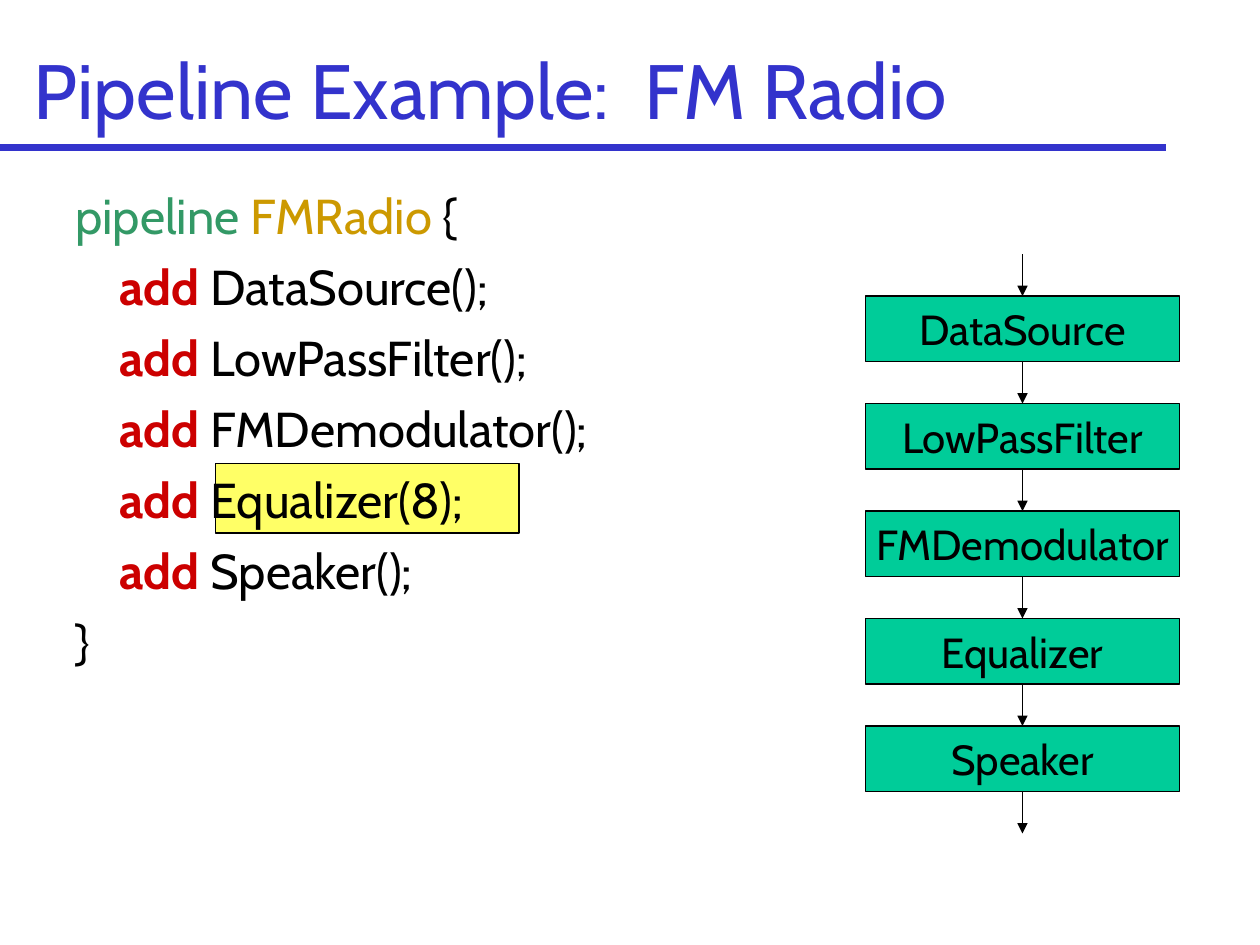
from pptx import Presentation
from pptx import util as u
from pptx.dml.color import RGBColor
from pptx.enum import shapes, text
from pptx.oxml.ns import qn
from lxml import etree

BLUE = RGBColor(0x33, 0x33, 0xCC)
BLACK = RGBColor(0, 0, 0)
GREEN = RGBColor(0x33, 0x99, 0x66)
GOLD = RGBColor(0xCC, 0x99, 0x00)
RED = RGBColor(0xCC, 0x00, 0x00)
YELLOW = RGBColor(0xFF, 0xFF, 0x66)
TEAL = RGBColor(0x00, 0xCC, 0x99)
FONT = "Cabin"

STAGES = ["DataSource", "LowPassFilter", "FMDemodulator", "Equalizer", "Speaker"]
ARGUMENTS = {"Equalizer": "8"}

deck = Presentation()
deck.slide_width = u.Inches(10)
deck.slide_height = u.Inches(7.5)
page = deck.slides.add_slide(deck.slide_layouts[6])


def add_box(left, top, width, height, fill):
    box = page.shapes.add_shape(
        shapes.MSO_SHAPE.RECTANGLE,
        u.Inches(left), u.Inches(top), u.Inches(width), u.Inches(height))
    box.shadow.inherit = False
    box.fill.solid()
    box.fill.fore_color.rgb = fill
    box.line.color.rgb = BLACK
    box.line.width = u.Pt(0.75)
    return box


def add_line(x1, y1, x2, y2, color, weight, arrow=False):
    line = page.shapes.add_connector(
        shapes.MSO_CONNECTOR.STRAIGHT,
        u.Inches(x1), u.Inches(y1), u.Inches(x2), u.Inches(y2))
    line.line.color.rgb = color
    line.line.width = u.Pt(weight)
    if arrow:
        etree.SubElement(line.line._get_or_add_ln(), qn("a:tailEnd"), type="triangle")
    etree.SubElement(line._element.spPr, qn("a:effectLst"))


add_line(0, 1.17, 9.25, 1.17, BLUE, 4)
add_box(1.71, 3.68, 2.41, 0.55, YELLOW)

listing = [[("pipeline ", GREEN), ("FMRadio", GOLD), (" {", BLACK)]]
for stage in STAGES:
    listing.append([("    add ", RED), (f"{stage}({ARGUMENTS.get(stage, '')});", BLACK)])
listing.append([("}", BLACK)])

code = page.shapes.add_textbox(
    u.Inches(0.5), u.Inches(1.42), u.Inches(9.33), u.Inches(5.92)).text_frame
code.word_wrap = True
for number, spans in enumerate(listing):
    para = code.add_paragraph() if number else code.paragraphs[0]
    para.space_before = u.Pt(7 if number else 0)
    para.font.name = FONT
    para.font.size = u.Pt(28)
    for words, color in spans:
        span = para.add_run()
        span.text = words
        span.font.color.rgb = color
        span.font.bold = color == RED

title = page.shapes.add_textbox(
    u.Inches(0.17), u.Inches(0.08), u.Inches(9.08), u.Inches(1.25)).text_frame
title.word_wrap = True
title.vertical_anchor = text.MSO_ANCHOR.MIDDLE
para = title.paragraphs[0]
para.text = "Pipeline Example:  FM Radio"
para.font.name = FONT
para.font.size = u.Pt(44)
para.font.color.rgb = BLUE

left, first_top, width, height, pitch = 6.87, 2.35, 2.49, 0.52, 0.853
center = left + width / 2
gap = pitch - height
for row, stage in enumerate(STAGES):
    box = add_box(left, first_top + row * pitch, width, height, TEAL)
    box.text_frame.word_wrap = False
    box.text_frame.vertical_anchor = text.MSO_ANCHOR.MIDDLE
    para = box.text_frame.paragraphs[0]
    para.text = stage
    para.alignment = text.PP_ALIGN.CENTER
    para.font.name = FONT
    para.font.size = u.Pt(24)
    para.font.color.rgb = BLACK

for row in range(len(STAGES) + 1):
    tip = first_top + row * pitch
    add_line(center, tip - gap, center, tip, BLACK, 0.75, arrow=True)

deck.save("out.pptx")
